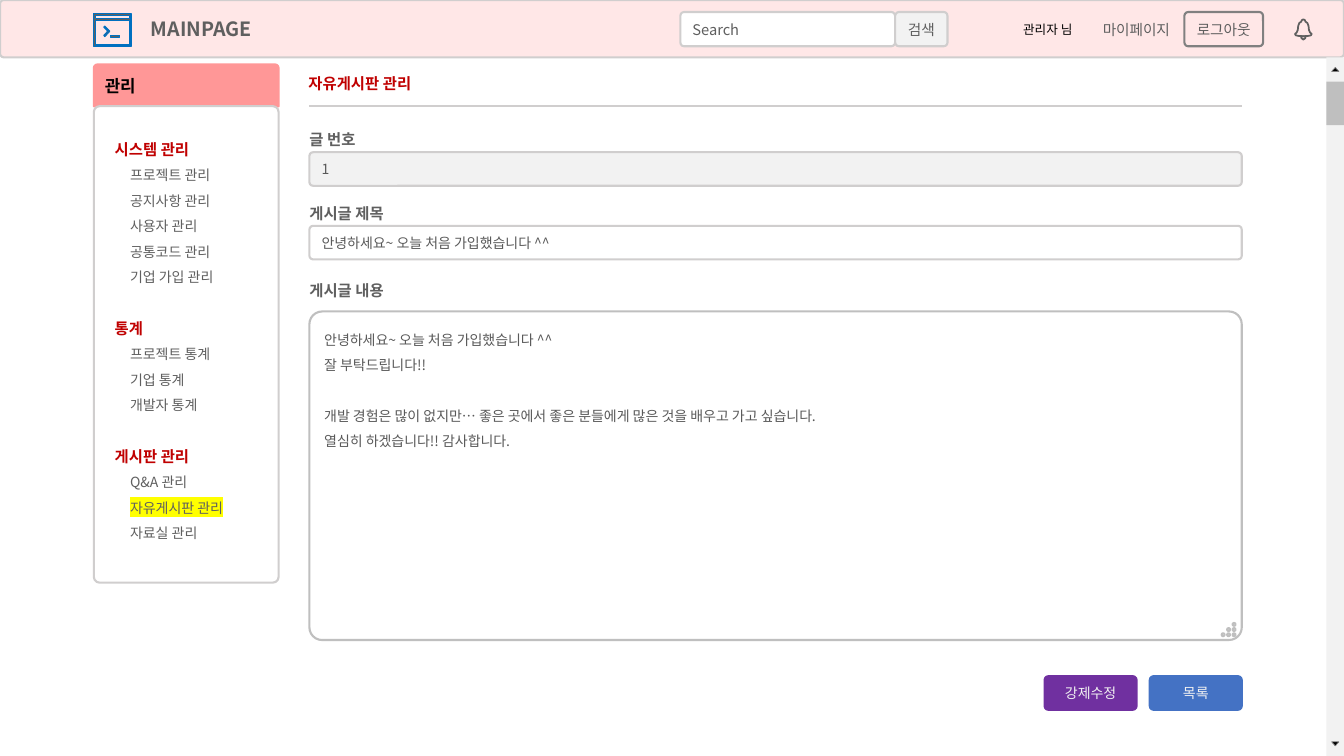
from dataclasses import dataclass
from math import cos, pi, sin

from lxml.etree import SubElement
from pptx import Presentation
from pptx.dml.color import RGBColor
from pptx.enum.shapes import MSO_CONNECTOR, MSO_SHAPE
from pptx.enum.text import MSO_ANCHOR, PP_ALIGN
from pptx.oxml.ns import qn
from pptx.util import Pt


@dataclass(frozen=True)
class Theme:
    font: str = "Noto Sans CJK KR"
    white: str = "FFFFFF"
    black: str = "000000"
    text: str = "5F5F5F"
    input_text: str = "595959"
    accent: str = "C00000"
    header: str = "FFE7E7"
    menu_title: str = "FF9797"
    border: str = "D0CECE"
    strong_border: str = "BFBFBF"
    outline: str = "808080"
    muted: str = "F2F2F2"
    logo: str = "0070C0"
    list_button: str = "4472C4"
    edit_button: str = "7030A0"
    highlight: str = "FFFF00"
    brand_size: float = 14
    menu_title_size: float = 12
    heading_size: float = 11
    control_size: float = 10.5
    body_size: float = 10
    user_size: float = 9
    line_pitch: float = 18.1


THEME = Theme()
CONTENT_LEFT, CONTENT_WIDTH = 221, 666
MENU_LEFT, MENU_WIDTH = 67, 132
CURRENT_ITEM = "자유게시판 관리"
MENU = {
    "시스템 관리": ["프로젝트 관리", "공지사항 관리", "사용자 관리", "공통코드 관리", "기업 가입 관리"],
    "통계": ["프로젝트 통계", "기업 통계", "개발자 통계"],
    "게시판 관리": ["Q&A 관리", CURRENT_ITEM, "자료실 관리"],
}
GREETING = "안녕하세요~ 오늘 처음 가입했습니다 ^^"
POST = [
    GREETING,
    "잘 부탁드립니다!!",
    "개발 경험은 많이 없지만… 좋은 곳에서 좋은 분들에게 많은 것을 배우고 가고 싶습니다.",
    "열심히 하겠습니다!! 감사합니다.",
]


def paint(shape, fill, line, width=1.5):
    shape.shadow.inherit = False
    if fill:
        shape.fill.solid()
        shape.fill.fore_color.rgb = RGBColor.from_string(fill)
    else:
        shape.fill.background()
    if line:
        shape.line.color.rgb = RGBColor.from_string(line)
        shape.line.width = Pt(width)
    else:
        shape.line.fill.background()


def panel(slide, area, fill, line=None, radius=2.7, kind=MSO_SHAPE.ROUNDED_RECTANGLE):
    shape = slide.shapes.add_shape(kind, *map(Pt, area))
    if radius:
        shape.adjustments[0] = radius / min(area[2:])
    paint(shape, fill, line)
    return shape


def style(paragraph, size, color, bold=False, highlight=None):
    for run in paragraph.runs:
        run.font.size = Pt(size)
        run.font.bold = bold
        run.font.color.rgb = RGBColor.from_string(color)
        properties = run.font._element
        if highlight:
            marker = SubElement(properties, qn("a:highlight"))
            SubElement(marker, qn("a:srgbClr"), val=highlight)
        run.font.name = THEME.font
        SubElement(properties, qn("a:ea"), typeface=THEME.font)


def write(shape, lines, left=0, top=0, anchor=MSO_ANCHOR.MIDDLE, align=PP_ALIGN.LEFT, wrap=True):
    frame = shape.text_frame
    frame.word_wrap = wrap
    frame.vertical_anchor = anchor
    frame.margin_left = frame.margin_right = Pt(left)
    frame.margin_top = frame.margin_bottom = Pt(top)
    frame.text = "\n".join(lines)
    for paragraph in frame.paragraphs:
        paragraph.alignment = align
    return frame.paragraphs


def label(slide, area, text, size, color, bold=False):
    box = slide.shapes.add_textbox(*map(Pt, area))
    style(write(box, [text])[0], size, color, bold)


def button(slide, area, text, fill, line, size, color):
    shape = panel(slide, area, fill, line)
    style(write(shape, [text], align=PP_ALIGN.CENTER, wrap=False)[0], size, color)


def field(slide, area, text, fill, size, color):
    shape = panel(slide, area, fill, THEME.border)
    style(write(shape, [text], left=7.9)[0], size, color)


def outline(slide, contours, fill, line, width):
    points = [[(Pt(x), Pt(y)) for x, y in contour] for contour in contours]
    builder = slide.shapes.build_freeform(*points[0][0])
    for index, contour in enumerate(points):
        if index:
            builder.move_to(*contour[0])
        builder.add_line_segments(contour[1:], close=True)
    paint(builder.convert_to_shape(), fill, line, width)


def rectangle(left, top, right, bottom):
    return [(left, top), (right, top), (right, bottom), (left, bottom)]


def dot(x, y, radius=1, steps=12):
    return [(x + radius * cos(2 * pi * i / steps), y + radius * sin(2 * pi * i / steps))
            for i in range(steps)]


def mirrored(x, y, profile):
    right = [(x + dx, y + dy) for dx, dy in profile]
    return right + [(x - dx, y + dy) for dx, dy in reversed(profile)]


def terminal_icon(slide):
    chevron = [(74.2, 19.4), (77, 22.3), (74.2, 25.3), (74.9, 26.2), (78.5, 22.3), (74.9, 18.7)]
    outline(slide, [
        rectangle(67, 10, 93.6, 33.2),
        rectangle(68, 11, 92.6, 13.6),
        rectangle(68, 14.6, 92.6, 32.2),
        chevron,
        rectangle(79.2, 25.4, 85.6, 26.6),
    ], THEME.text, THEME.logo, 0.75)


def bell_icon(slide):
    body = [(0, 0), (1.1, 0.5), (1.5, 1.6), (2.9, 2.6), (3.7, 4.7), (4, 7.6), (4.8, 9.4),
            (6, 10.4), (5.4, 11.4), (3, 11.9), (0, 12)]
    clapper = [(1.6, 12), (1.4, 13.4), (0, 14.4)]
    bell = [mirrored(931, 13.9, profile) for profile in (body, clapper)]
    outline(slide, bell, None, THEME.text, 1.25)


def header(slide):
    bar = panel(slide, (0, 0, 960, 41), THEME.header, THEME.border)
    style(write(bar, ["MAINPAGE"], left=107)[0], THEME.brand_size, THEME.text, True)
    size = THEME.control_size
    field(slide, (486, 8.6, 153.4, 24.5), "Search", THEME.white, size, THEME.text)
    button(slide, (639.4, 8.6, 37.4, 24.5), "검색", THEME.muted, THEME.border, size, THEME.text)
    terminal_icon(slide)
    button(slide, (846, 8.6, 56.2, 24.5), "로그아웃", THEME.header, THEME.outline, size, THEME.text)
    button(slide, (779, 9.3, 65.5, 24.5), "마이페이지", THEME.header, None, size, THEME.text)
    bell_icon(slide)
    label(slide, (730.8, 12.2, 48, 18), "관리자 님", THEME.user_size, THEME.black)


def menu(slide):
    title = panel(slide, (MENU_LEFT, 46, MENU_WIDTH, 30), THEME.menu_title, THEME.menu_title,
                  kind=MSO_SHAPE.ROUND_2_SAME_RECTANGLE)
    style(write(title, ["관리"], left=7.2)[0], THEME.menu_title_size, THEME.black, True)
    card = panel(slide, (MENU_LEFT, 75.8, MENU_WIDTH, 340.4), THEME.white, THEME.border, radius=4.2)
    entries = [(text, text == group) for group, items in MENU.items() for text in [group, *items]]
    paragraphs = write(card, [text for text, _ in entries], left=13.7, top=18, anchor=MSO_ANCHOR.TOP)
    for index, (paragraph, (text, is_group)) in enumerate(zip(paragraphs, entries)):
        paragraph.line_spacing = Pt(THEME.line_pitch)
        if is_group:
            paragraph.space_before = Pt(19 if index else 0)
            style(paragraph, THEME.heading_size, THEME.accent, True)
        else:
            paragraph._p.get_or_add_pPr().set("marL", str(Pt(11)))
            style(paragraph, THEME.body_size, THEME.text,
                  highlight=THEME.highlight if text == CURRENT_ITEM else None)


def scrollbar(slide):
    for top, height, color in ((41, 499, THEME.muted), (58.4, 31, THEME.strong_border)):
        panel(slide, (947.5, top, 12.5, height), color, radius=0, kind=MSO_SHAPE.RECTANGLE)
    for base, tip in ((51.1, 48.2), (529.9, 532.8)):
        outline(slide, [[(951.2, base), (953.8, tip), (956.4, base)]],
                THEME.black, THEME.outline, 0.5)


def divider(slide, y):
    rule = slide.shapes.add_connector(MSO_CONNECTOR.STRAIGHT, Pt(CONTENT_LEFT), Pt(y),
                                      Pt(CONTENT_LEFT + CONTENT_WIDTH), Pt(y))
    rule.line.color.rgb = RGBColor.from_string(THEME.border)
    rule.line.width = Pt(1.5)
    SubElement(rule._element.spPr, qn("a:effectLst"))


def post_form(slide):
    label(slide, (220.3, 49, 124, 21), "자유게시판 관리", THEME.heading_size, THEME.accent, True)
    divider(slide, 75.6)
    for top, text in ((91.4, "글 번호"), (144.3, "게시글 제목"), (199.3, "게시글 내용")):
        label(slide, (CONTENT_LEFT, top, 80, 16), text, THEME.heading_size, THEME.text, True)
    for top, text, fill in ((108.7, "1", THEME.muted), (161.3, GREETING, THEME.white)):
        field(slide, (CONTENT_LEFT, top, CONTENT_WIDTH, 24), text, fill,
              THEME.body_size, THEME.input_text)
    content = panel(slide, (CONTENT_LEFT, 222.5, CONTENT_WIDTH, 234.7), THEME.white,
                    THEME.strong_border, radius=9.1)
    for index, paragraph in enumerate(write(content, POST, left=7.9, top=5.5, anchor=MSO_ANCHOR.TOP)):
        paragraph.line_spacing = Pt(THEME.line_pitch)
        paragraph.space_before = Pt(THEME.line_pitch if index == 2 else 0)
        style(paragraph, THEME.body_size, THEME.input_text)
    grip = [dot(873.7 + 3.9 * column, 446 + 3.7 * row)
            for row in range(3) for column in range(2 - row, 3)]
    outline(slide, grip, THEME.white, THEME.strong_border, 1.5)
    for left, text, color in ((821.3, "목록", THEME.list_button), (746.2, "강제수정", THEME.edit_button)):
        button(slide, (left, 483, 65.7, 24), text, color, color, THEME.body_size, THEME.muted)


def main():
    presentation = Presentation()
    presentation.slide_width, presentation.slide_height = Pt(960), Pt(540)
    slide = presentation.slides.add_slide(presentation.slide_layouts[6])
    menu(slide)
    header(slide)
    scrollbar(slide)
    post_form(slide)
    presentation.save("out.pptx")


if __name__ == "__main__":
    main()
